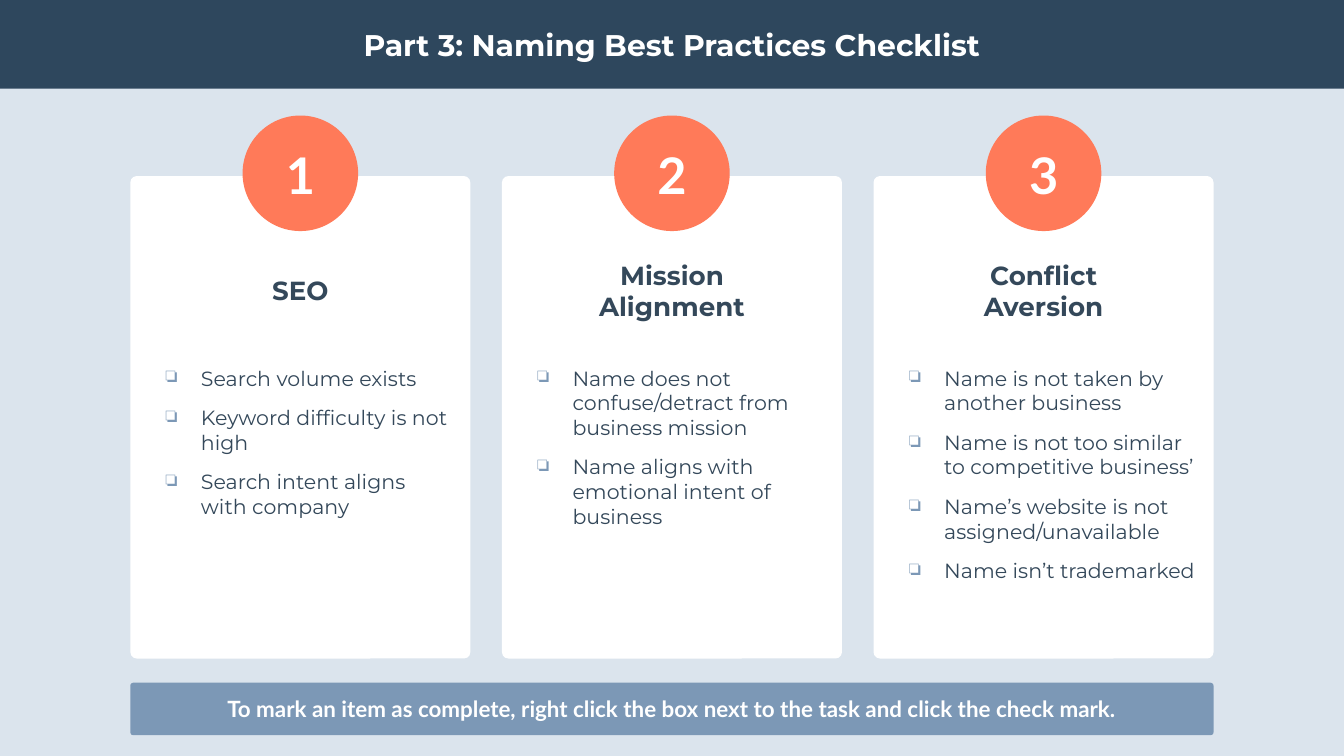
import pptx
import pptx.dml.color
import pptx.enum.shapes
import pptx.enum.text
import pptx.oxml.ns
import pptx.util
import lxml.etree

COLS, ROWS = 100, 56.25
SHAPE = pptx.enum.shapes.MSO_SHAPE
ALIGN = pptx.enum.text.PP_ALIGN
ANCHOR = pptx.enum.text.MSO_ANCHOR

NAVY, INK, BLUE = "2E475D", "34485A", "7C98B6"
CORAL, WHITE, PALE = "FF7A59", "FFFFFF", "DBE4ED"

TITLE = {"name": "Montserrat", "size": 16, "bold": True, "color": WHITE}
HEAD = {"name": "Montserrat", "size": 14, "bold": True, "color": INK}
ITEM = {"name": "Montserrat", "size": 11, "bold": False, "color": INK}
DIGIT = {"name": "Lato", "size": 27, "bold": True, "color": WHITE}
NOTE = {"name": "Lato", "size": 12, "bold": True, "color": WHITE}

LEFT, WIDE, PITCH = 9.7, 25.3, 27.65
CARDS = [
    ("SEO", ["Search volume exists",
             "Keyword difficulty is not high",
             "Search intent aligns with company"]),
    ("Mission Alignment", ["Name does not confuse/detract from business mission",
                           "Name aligns with emotional intent of business"]),
    ("Conflict Aversion", ["Name is not taken by another business",
                           "Name is not too similar to competitive business’",
                           "Name’s website is not assigned/unavailable",
                           "Name isn’t trademarked"]),
]


def paint(color, value):
    color.rgb = pptx.dml.color.RGBColor.from_string(value)


class Deck:
    def __init__(self):
        self.show = pptx.Presentation()
        self.show.slide_width = pptx.util.Inches(10)
        self.show.slide_height = pptx.util.Inches(5.625)

    def page(self, color):
        self.slide = self.show.slides.add_slide(self.show.slide_layouts[6])
        fill = self.slide.background.fill
        fill.solid()
        paint(fill.fore_color, color)

    def place(self, x, y, w, h):
        """Turn grid columns and rows into slide lengths."""
        col = self.show.slide_width / COLS
        row = self.show.slide_height / ROWS
        return round(x * col), round(y * row), round(w * col), round(h * row)

    def shape(self, kind, box, color, bend=None):
        item = self.slide.shapes.add_shape(kind, *self.place(*box))
        item.shadow.inherit = False
        item.fill.solid()
        paint(item.fill.fore_color, color)
        item.line.fill.background()
        if bend is not None:
            item.adjustments[0] = bend
        return item

    def label(self, box, words, style):
        self.letter(self.slide.shapes.add_textbox(*self.place(*box)), [words], style)

    def letter(self, item, lines, style, align=ALIGN.CENTER, anchor=ANCHOR.MIDDLE):
        """Fill a shape with one paragraph per line and return the paragraphs."""
        frame = item.text_frame
        inset = pptx.util.Inches(0.07)
        form = {"word_wrap": True, "vertical_anchor": anchor,
                "margin_left": inset, "margin_right": inset,
                "margin_top": inset, "margin_bottom": inset}
        for key, value in form.items():
            setattr(frame, key, value)
        frame.text = "\n".join(lines)
        for par in frame.paragraphs:
            par.alignment = align
            font = par.runs[0].font
            face = {**style, "size": pptx.util.Pt(style["size"])}
            paint(font.color, face.pop("color"))
            for key, value in face.items():
                setattr(font, key, value)
        return frame.paragraphs

    def checks(self, box, lines):
        item = self.slide.shapes.add_textbox(*self.place(*box))
        pars = self.letter(item, lines, ITEM, ALIGN.LEFT, ANCHOR.TOP)
        for par in pars:
            self.bullet(par)
        for par in pars[1:]:
            par.space_before = pptx.util.Pt(8)
        pars[-1].space_after = pptx.util.Pt(8)

    def bullet(self, par):
        name = pptx.oxml.ns.qn
        props = par._p.get_or_add_pPr()
        props.set("marL", str(pptx.util.Inches(0.38)))
        props.set("indent", str(pptx.util.Inches(-0.26)))
        tint = lxml.etree.SubElement(props, name("a:buClr"))
        lxml.etree.SubElement(tint, name("a:srgbClr"), val=BLUE)
        lxml.etree.SubElement(props, name("a:buChar"), char="❏")

    def card(self, index, head, lines):
        left = LEFT + index * PITCH
        mid = left + WIDE / 2
        self.shape(SHAPE.ROUNDED_RECTANGLE, (left, 13.1, WIDE, 35.9), WHITE, 0.019)
        self.label((mid - 7.1, 18.5, 14.2, 6.2), head, HEAD)
        self.shape(SHAPE.OVAL, (mid - 4.3, 8.6, 8.6, 8.6), CORAL)
        self.label((mid - 3.45, 9.9, 6.9, 6.1), str(index + 1), DIGIT)
        self.checks((left + 0.75, 26.5, 23.9, 17.8), lines)


def main():
    deck = Deck()
    deck.page(PALE)
    bar = deck.shape(SHAPE.RECTANGLE, (0, 0, COLS, 6.6), NAVY)
    deck.letter(bar, ["Part 3: Naming Best Practices Checklist"], TITLE)
    for index, (head, lines) in enumerate(CARDS):
        deck.card(index, head, lines)
    strip = deck.shape(SHAPE.ROUNDED_RECTANGLE,
                       (LEFT, 50.8, COLS - 2 * LEFT, 3.9), BLUE, 0.056)
    deck.letter(strip, ["To mark an item as complete, right click the box "
                        "next to the task and click the check mark."], NOTE)
    deck.show.save("out.pptx")


if __name__ == "__main__":
    main()
